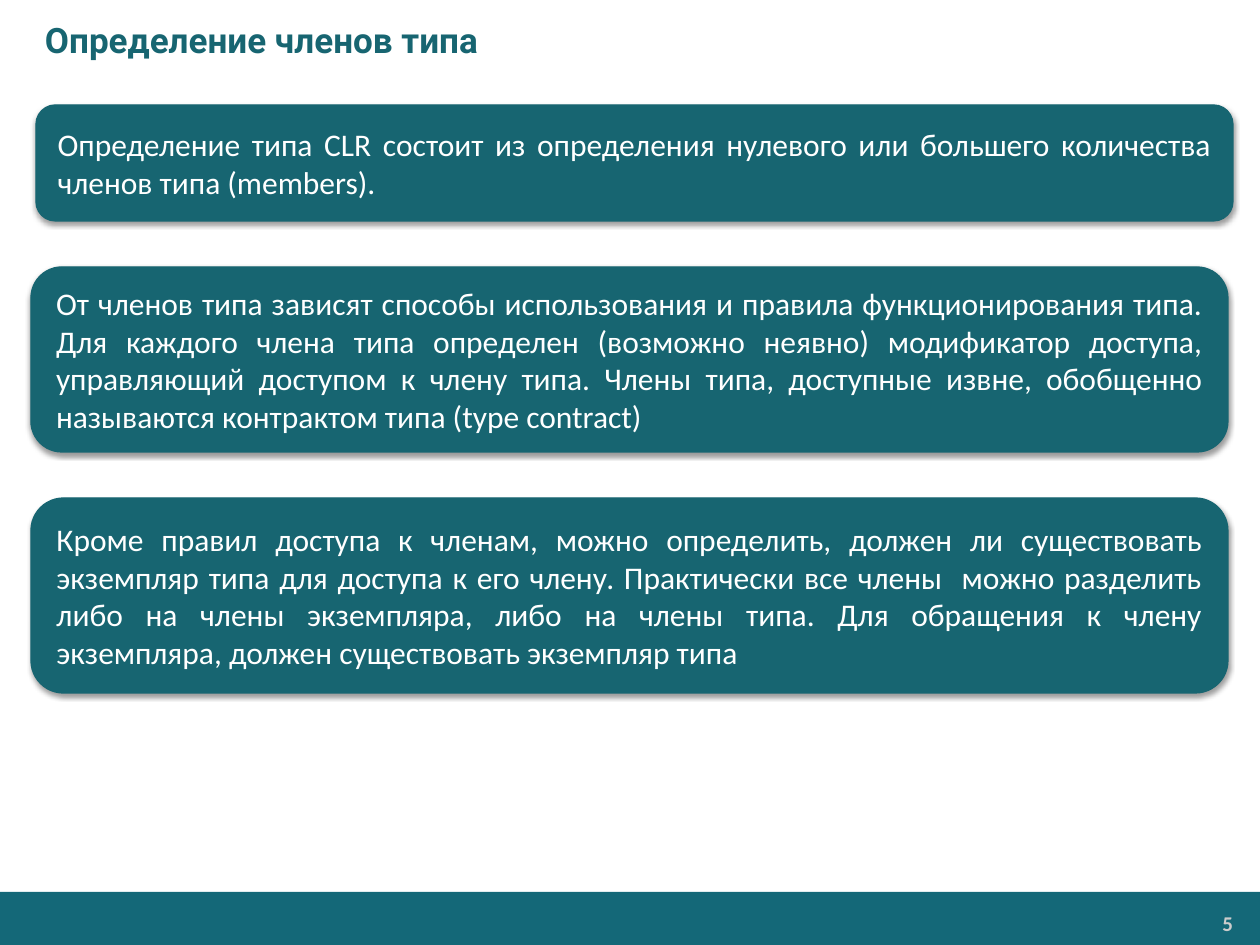
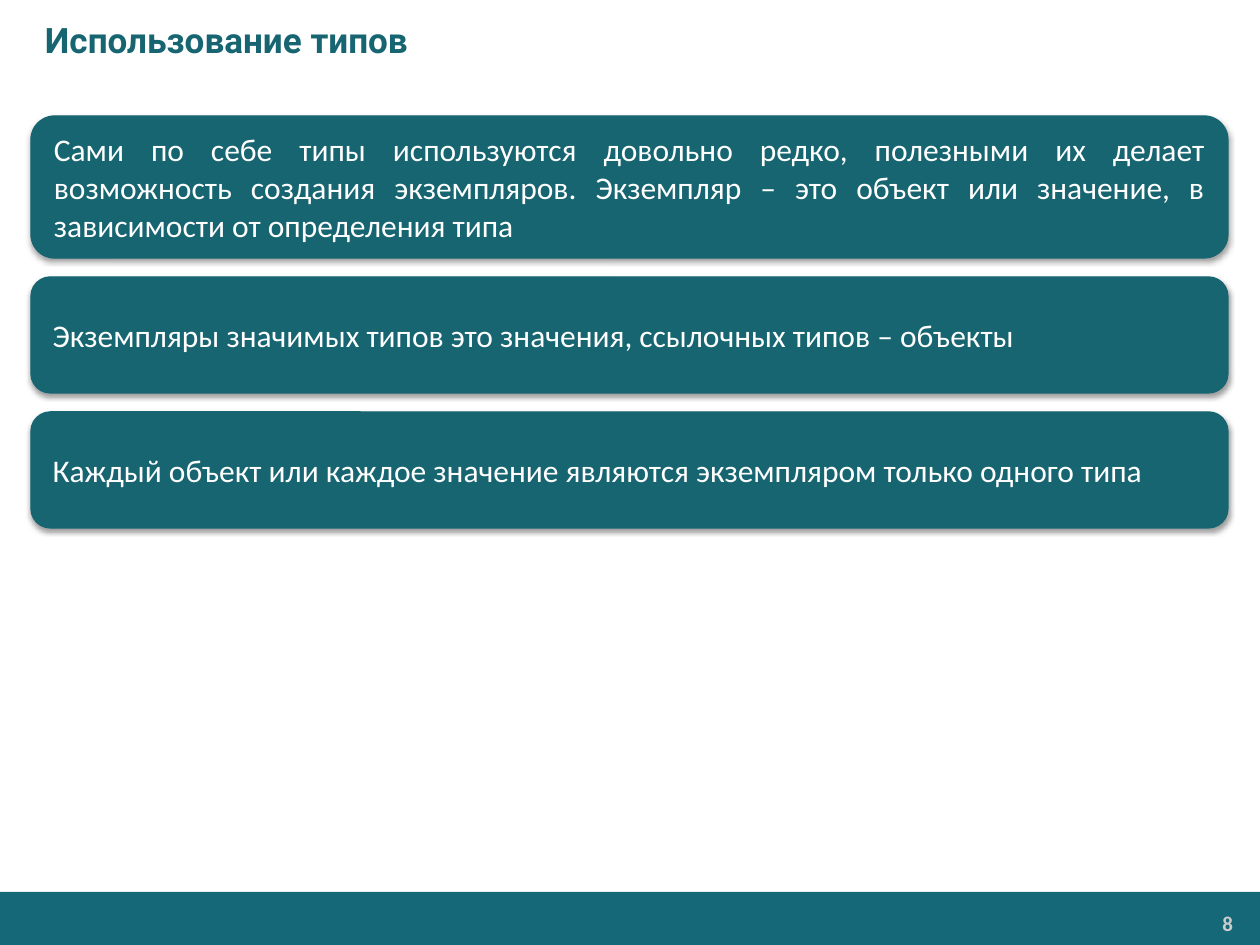
"""Build two lecture slides about type members and type usage."""
from lxml import etree
from pptx import Presentation
from pptx.dml.color import RGBColor
from pptx.enum.shapes import MSO_SHAPE
from pptx.enum.text import MSO_ANCHOR, PP_ALIGN
from pptx.oxml.ns import qn
from pptx.util import Emu, Pt

RECTANGLE = MSO_SHAPE.RECTANGLE
ROUNDED = MSO_SHAPE.ROUNDED_RECTANGLE
TOP, MIDDLE = MSO_ANCHOR.TOP, MSO_ANCHOR.MIDDLE
LEFT, RIGHT, JUSTIFY = PP_ALIGN.LEFT, PP_ALIGN.RIGHT, PP_ALIGN.JUSTIFY

COLORS = {
    "card": "176571",
    "band": "146878",
    "number": "CCCCCC",
    "white": "FFFFFF",
    "shadow": "000000",
}
BODY_FONT, TITLE_FONT = "Calibri", "Roboto"
WIDTH, HEIGHT = 1260, 945
TITLE_BOX = (0, 0, WIDTH, 79)
BAND_BOX = (0, 892, WIDTH, 53)
NUMBER_BOX = (1037, 14, 205, 35)
CARD_LEFT, CARD_WIDTH = 31, 1197

SLIDES = [
    {
        "title": "Определение членов типа",
        "number": "5",
        "top": 105,
        "gap": 46,
        "cards": [
            (116, 5, JUSTIFY,
             "Определение типа CLR состоит из определения нулевого или "
             "большего количества членов типа (members)."),
            (185, 0, JUSTIFY,
             "От членов типа зависят способы использования и правила "
             "функционирования типа. Для каждого члена типа определен "
             "(возможно неявно) модификатор доступа, управляющий доступом "
             "к члену типа. Члены типа, доступные извне, обобщенно "
             "называются контрактом типа (type contract)"),
            (195, 0, JUSTIFY,
             "Кроме правил доступа к членам, можно определить, должен ли "
             "существовать экземпляр типа для доступа к его члену. "
             "Практически все члены  можно разделить либо на члены "
             "экземпляра, либо на члены типа. Для обращения к члену "
             "экземпляра, должен существовать экземпляр типа"),
        ],
    },
    {
        "title": "Использование типов",
        "number": "8",
        "top": 116,
        "gap": 19,
        "cards": [
            (142, 0, JUSTIFY,
             "Сами по себе типы используются довольно редко, полезными их "
             "делает возможность создания экземпляров. Экземпляр – это "
             "объект или значение, в зависимости от определения типа"),
            (116, 0, LEFT,
             "Экземпляры значимых типов это значения, ссылочных типов – "
             "объекты"),
            (116, 0, LEFT,
             "Каждый объект или каждое значение являются экземпляром "
             "только одного типа"),
        ],
    },
]


def px(length):
    """Turn pixels into EMU."""
    return Emu(round(length * 914400 / 126))


def color(name):
    """Return the named colour."""
    return RGBColor.from_string(COLORS[name])


def write_text(shape, text, *, size, fill, font=BODY_FONT, bold=False,
               align=LEFT, anchor=MIDDLE, insets=(13, 6)):
    """Write one formatted paragraph into a shape."""
    frame = shape.text_frame
    frame.word_wrap = True
    frame.vertical_anchor = anchor
    frame.margin_left = frame.margin_right = px(insets[0])
    frame.margin_top = frame.margin_bottom = px(insets[1])
    paragraph = frame.paragraphs[0]
    paragraph.alignment = align
    run = paragraph.add_run()
    run.text = text
    run.font.name = font
    run.font.size = Pt(size)
    run.font.bold = bold
    run.font.color.rgb = color(fill)


def add_box(slide, kind, box, fill):
    """Add a filled preset shape without outline or shadow."""
    shape = slide.shapes.add_shape(kind, *map(px, box))
    shape.shadow.inherit = False
    shape.fill.solid()
    shape.fill.fore_color.rgb = color(fill)
    shape.line.fill.background()
    return shape


def add_shadow(shape):
    """Give a shape a soft shadow that falls downwards."""
    effects = shape._element.spPr.find(qn("a:effectLst"))
    shadow = etree.SubElement(effects, qn("a:outerShdw"), blurRad="40000",
                              dist="20000", dir="5400000", rotWithShape="0")
    tint = etree.SubElement(shadow, qn("a:srgbClr"), val=COLORS["shadow"])
    etree.SubElement(tint, qn("a:alpha"), val="38000")


def add_footer(slide, box, number):
    """Add the bottom band with the slide number."""
    left, top, _, _ = box
    add_box(slide, RECTANGLE, box, "band")
    x, y, width, height = NUMBER_BOX
    number_box = slide.shapes.add_textbox(
        *map(px, (left + x, top + y, width, height)))
    write_text(number_box, number, size=12, fill="number", bold=True,
               align=RIGHT, anchor=TOP, insets=(9, 5))


def add_title(slide, box, title):
    """Add the slide title."""
    title_box = slide.shapes.add_textbox(*map(px, box))
    write_text(title_box, title, size=20, fill="card", font=TITLE_FONT,
               bold=True, insets=(45, 6))


def add_card(slide, box, text, align):
    """Add one rounded card with a statement."""
    card = add_box(slide, ROUNDED, box, "card")
    card.line.color.rgb = color("card")
    card.line.width = Pt(0.75)
    add_shadow(card)
    write_text(card, text, size=18, fill="white", align=align, insets=(16, 8))


def add_card_stack(slide, left, top, width, gap, cards):
    """Stack cards downwards with equal gaps."""
    for height, shift, align, text in cards:
        add_card(slide, (left + shift, top, width, height), text, align)
        top += height + gap


def build_slide(presentation, content):
    """Build one slide from its content."""
    slide = presentation.slides.add_slide(presentation.slide_layouts[6])
    add_footer(slide, BAND_BOX, content["number"])
    add_title(slide, TITLE_BOX, content["title"])
    add_card_stack(slide, CARD_LEFT, content["top"], CARD_WIDTH,
                   content["gap"], content["cards"])


def main():
    """Build and save the presentation."""
    presentation = Presentation()
    presentation.slide_width = px(WIDTH)
    presentation.slide_height = px(HEIGHT)
    for content in SLIDES:
        build_slide(presentation, content)
    presentation.save("out.pptx")


if __name__ == "__main__":
    main()
